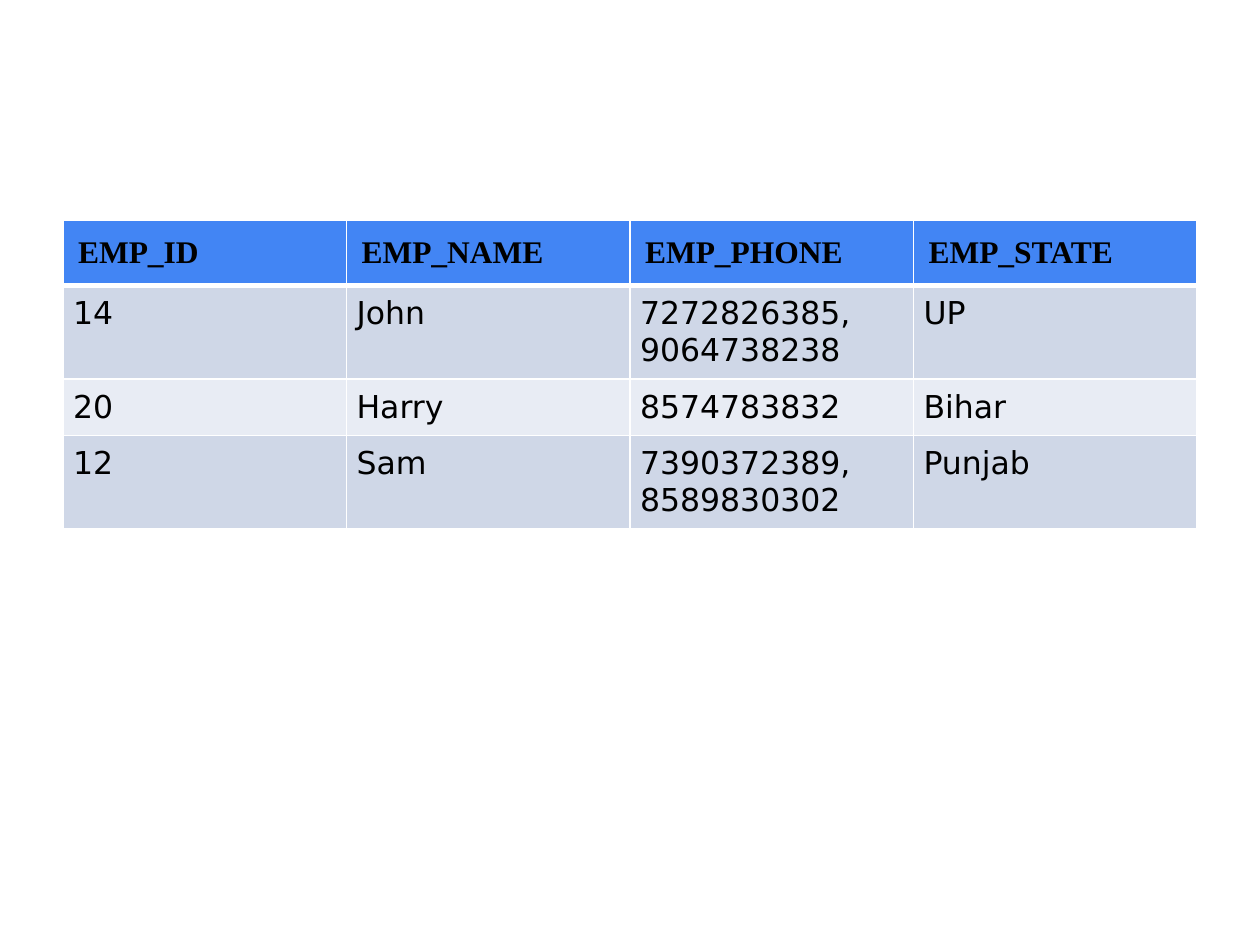
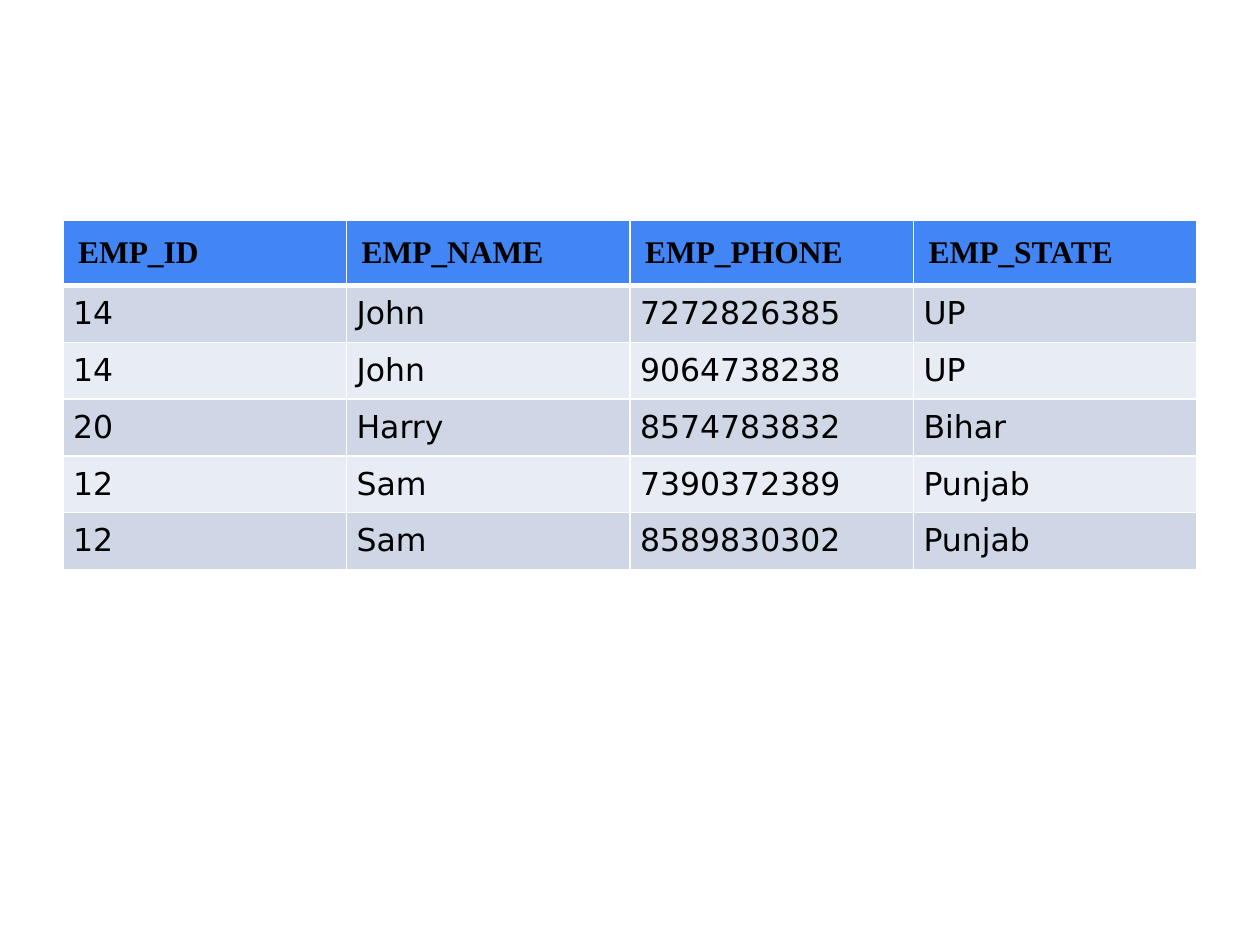
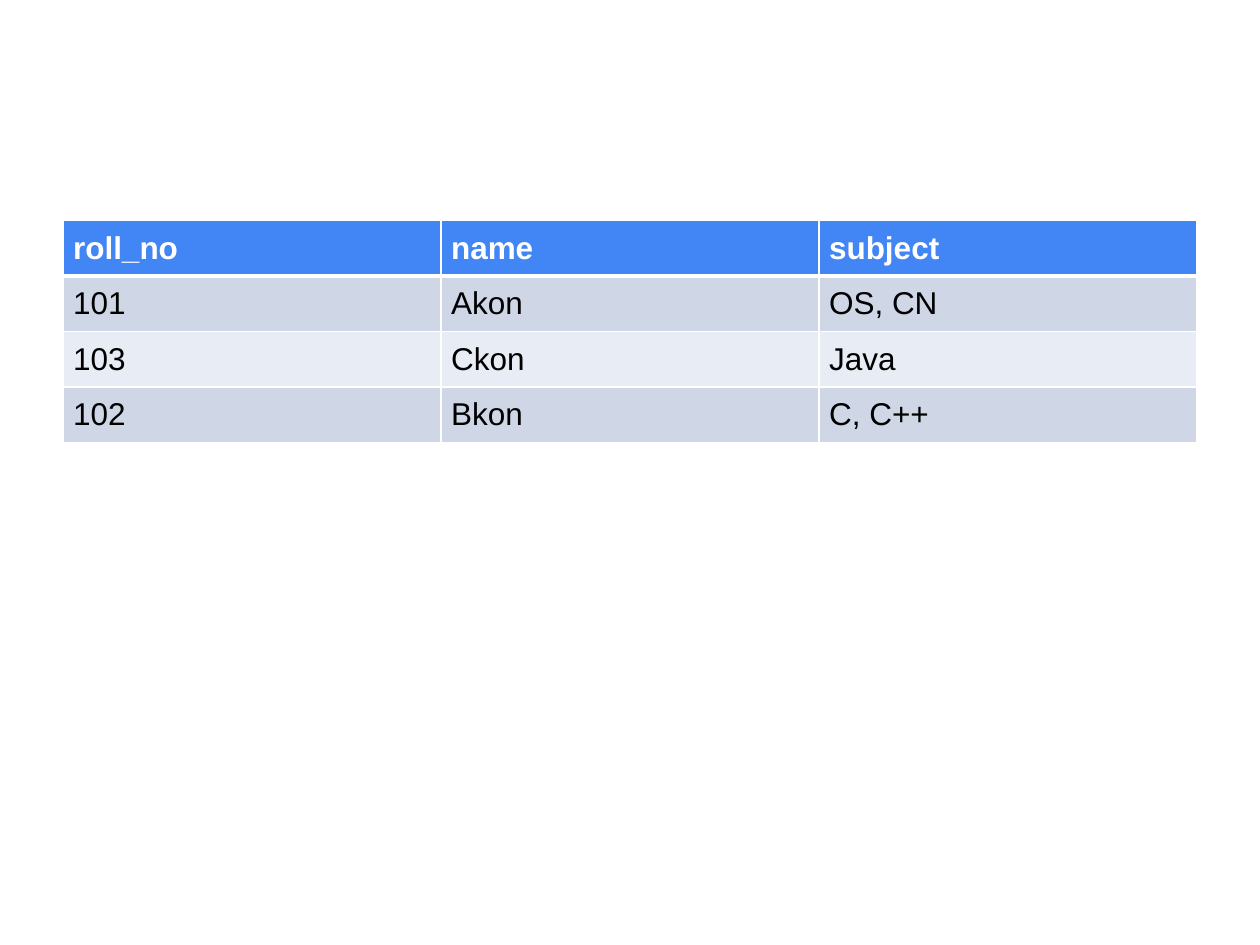
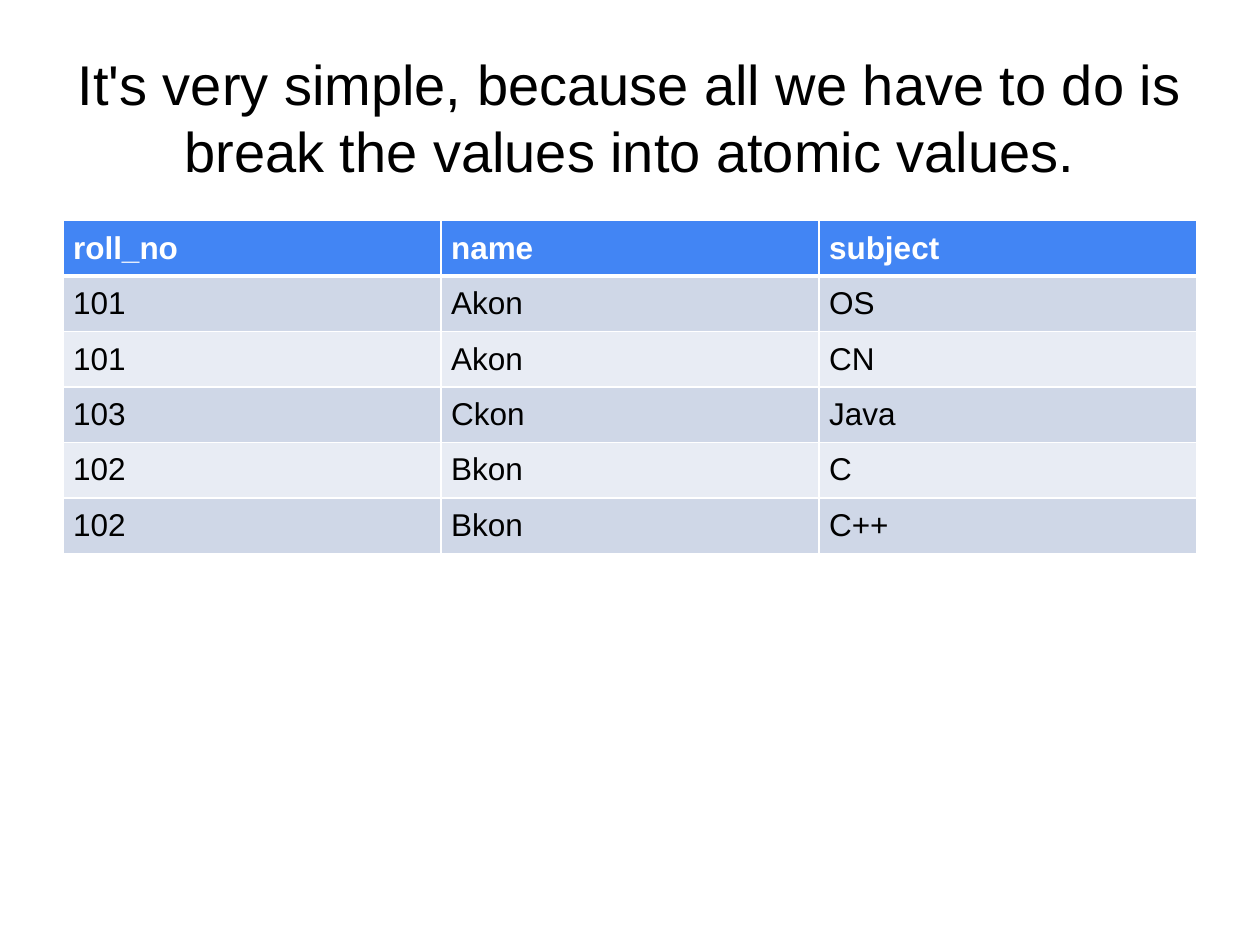
"""Build four slides that turn multi-valued tables into atomic ones."""
from dataclasses import dataclass

from lxml import etree
from pptx import Presentation
from pptx import util as u
from pptx.dml.color import RGBColor
from pptx.enum import text
from pptx.oxml.ns import qn

PAGE_WIDTH, PAGE_HEIGHT = u.Inches(10), u.Inches(7.5)
LEFT, CONTENT_WIDTH = 0.05, 0.9
TITLE_TOP, TITLE_HEIGHT = 0.04, 1 / 6
TABLE_TOP, ROW_HEIGHT = 7 / 30, 0.41 / 7.5
TITLE_ONLY, BLANK = 5, 6
BLACK, WHITE = "000000", "FFFFFF"
HEADER_FILL = "4285F4"
BAND_FILLS = ("CFD7E7", "E8ECF4")
THIN, THICK = 1, 3


@dataclass(frozen=True)
class CellStyle:
    """Describe the lettering and inset of a table cell."""
    font: str
    color: str = BLACK
    bold: bool = False
    margin: float = 0.08


@dataclass(frozen=True)
class Design:
    """Pair the header style of a table with its body style."""
    header: CellStyle
    body: CellStyle


@dataclass(frozen=True)
class TablePage:
    """Hold the content of one slide."""
    design: Design
    header: tuple[str, ...]
    records: tuple[tuple[str, ...], ...]
    title: str = ""


EMPLOYEE = Design(CellStyle("Times New Roman", bold=True, margin=0.12),
                  CellStyle("DejaVu Sans"))
STUDENT = Design(CellStyle("Arial", WHITE, bold=True), CellStyle("Arial"))
EMPLOYEE_HEADER = ("EMP_ID", "EMP_NAME", "EMP_PHONE", "EMP_STATE")
STUDENT_HEADER = ("roll_no", "name", "subject")

PAGES = (
    TablePage(EMPLOYEE, EMPLOYEE_HEADER, (
        ("14", "John", "7272826385,\n9064738238", "UP"),
        ("20", "Harry", "8574783832", "Bihar"),
        ("12", "Sam", "7390372389,\n8589830302", "Punjab"),
    )),
    TablePage(EMPLOYEE, EMPLOYEE_HEADER, (
        ("14", "John", "7272826385", "UP"),
        ("14", "John", "9064738238", "UP"),
        ("20", "Harry", "8574783832", "Bihar"),
        ("12", "Sam", "7390372389", "Punjab"),
        ("12", "Sam", "8589830302", "Punjab"),
    )),
    TablePage(STUDENT, STUDENT_HEADER, (
        ("101", "Akon", "OS, CN"),
        ("103", "Ckon", "Java"),
        ("102", "Bkon", "C, C++"),
    )),
    TablePage(STUDENT, STUDENT_HEADER, (
        ("101", "Akon", "OS"),
        ("101", "Akon", "CN"),
        ("103", "Ckon", "Java"),
        ("102", "Bkon", "C"),
        ("102", "Bkon", "C++"),
    ), "It's very simple, because all we have to do is "
       "break the values into atomic values."),
)


def rgb(value: str) -> RGBColor:
    """Turn a hex string into a colour."""
    return RGBColor.from_string(value)


def across(share: float) -> int:
    """Turn a share of the slide's width into a length."""
    return round(PAGE_WIDTH * share)


def down(share: float) -> int:
    """Turn a share of the slide's height into a length."""
    return round(PAGE_HEIGHT * share)


def write(para, content: str, font: str, size: float, color: str, bold: bool) -> None:
    """Add the lines of the content as formatted runs."""
    for index, line in enumerate(content.split("\n")):
        if index:
            para.add_line_break()
        span = para.add_run()
        span.text = line
        span.font.name, span.font.size, span.font.bold = font, u.Pt(size), bold
        span.font.color.rgb = rgb(color)


def draw_borders(cell, top: float, bottom: float) -> None:
    """Give a cell white borders of the given widths in points."""
    properties = cell._tc.get_or_add_tcPr()
    for side, width in (("L", THIN), ("R", THIN), ("T", top), ("B", bottom)):
        line = etree.SubElement(properties, qn(f"a:ln{side}"), w=str(u.Pt(width)))
        fill = etree.SubElement(line, qn("a:solidFill"))
        etree.SubElement(fill, qn("a:srgbClr"), val=WHITE)


def draw_cell(cell, content: str, style: CellStyle, row: int) -> None:
    """Format a cell by its row and write its content."""
    draw_borders(cell, THICK if row == 1 else THIN, THICK if row == 0 else THIN)
    cell.fill.solid()
    cell.fill.fore_color.rgb = rgb(BAND_FILLS[(row - 1) % 2] if row else HEADER_FILL)
    margin = u.Inches(style.margin)
    cell.margin_left = cell.margin_right = margin
    cell.margin_top = cell.margin_bottom = margin
    write(cell.text_frame.paragraphs[0], content, style.font, 18, style.color, style.bold)


def draw_table(slide, page: TablePage) -> None:
    """Draw a table with equal columns and banded rows."""
    rows = (page.header, *page.records)
    frame = slide.shapes.add_table(
        len(rows), len(page.header), across(LEFT), down(TABLE_TOP),
        across(CONTENT_WIDTH), down(ROW_HEIGHT * len(rows)))
    frame.table.horz_banding = False
    for row, values in enumerate(rows):
        style = page.design.body if row else page.design.header
        for column, value in enumerate(values):
            draw_cell(frame.table.cell(row, column), value, style, row)


def draw_title(slide, title: str) -> None:
    """Place and format the title."""
    box = slide.shapes.title
    box.left, box.top = across(LEFT), down(TITLE_TOP)
    box.width, box.height = across(CONTENT_WIDTH), down(TITLE_HEIGHT)
    frame = box.text_frame
    frame.word_wrap = True
    frame.auto_size = text.MSO_AUTO_SIZE.NONE
    frame.vertical_anchor = text.MSO_ANCHOR.MIDDLE
    para = frame.paragraphs[0]
    para.alignment = text.PP_ALIGN.CENTER
    write(para, title, "Arial", 32, BLACK, False)


def main() -> None:
    """Build and save the deck."""
    deck = Presentation()
    deck.slide_width, deck.slide_height = PAGE_WIDTH, PAGE_HEIGHT
    for page in PAGES:
        layout = deck.slide_layouts[TITLE_ONLY if page.title else BLANK]
        slide = deck.slides.add_slide(layout)
        if page.title:
            draw_title(slide, page.title)
        draw_table(slide, page)
    deck.save("out.pptx")


if __name__ == "__main__":
    main()
